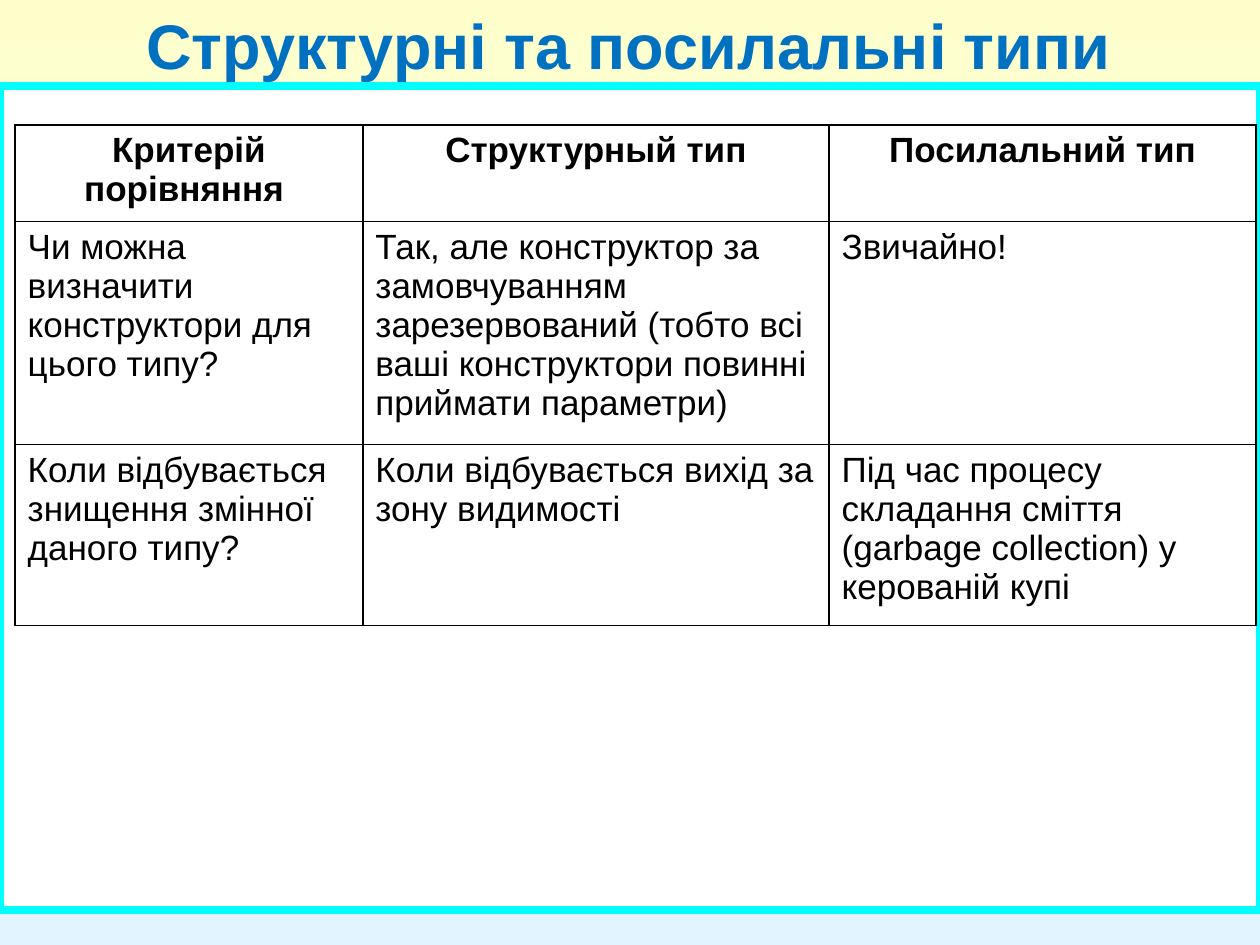
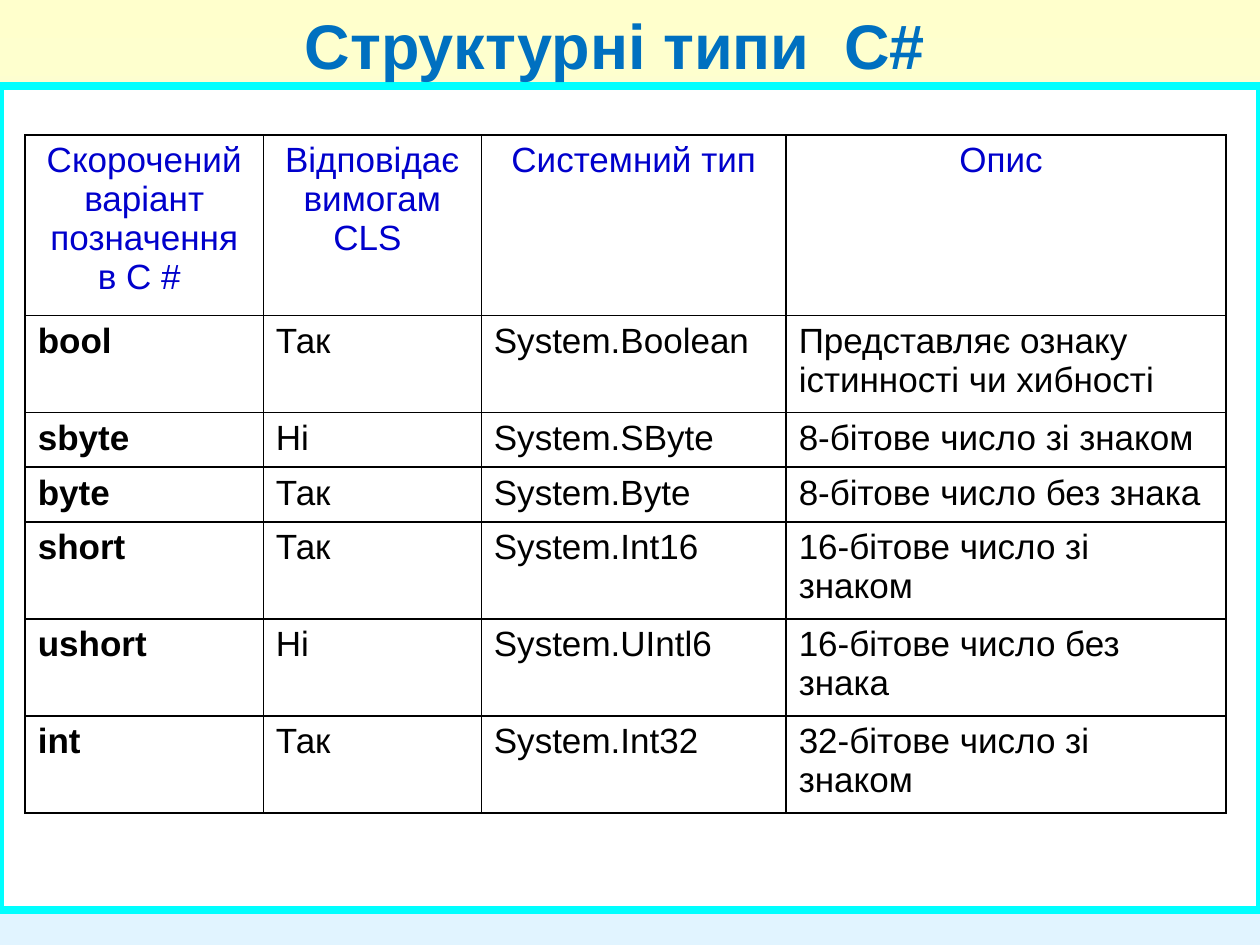
from lxml import etree
from pptx import Presentation
from pptx.dml.color import RGBColor
from pptx.enum import shapes, text
from pptx.oxml import ns
from pptx.util import Inches, Pt

CREAM = RGBColor(0xFF, 0xFF, 0xCC)
ICE = RGBColor(0xE1, 0xF4, 0xFF)
WHITE = RGBColor(0xFF, 0xFF, 0xFF)
CYAN = RGBColor(0x00, 0xFF, 0xFF)
BLACK = RGBColor(0x00, 0x00, 0x00)
HEADING_BLUE = RGBColor(0x00, 0x70, 0xC0)
HEADER_BLUE = RGBColor(0x00, 0x00, 0xCC)

COMPARISON = [
    ["Критерій порівняння ", "Структурный тип", "Посилальний тип"],
    ["Чи можна визначити конструктори для цього типу?",
     "Так, але конструктор за замовчуванням зарезервований "
     "(тобто всі ваші конструктори повинні приймати параметри)",
     "Звичайно!"],
    ["Коли відбувається знищення змінної даного типу?",
     "Коли відбувається вихід за зону видимості",
     "Під час процесу складання сміття (garbage collection) у керованій купі"],
]

VALUE_TYPES = [
    ["Скорочений варіант позначення в С # ", "Відповідає вимогам CLS ",
     "Системний тип", "Опис "],
    ["bool", "Так", "System.Boolean", "Представляє ознаку істинності чи хибності"],
    ["sbyte", "Ні", "System.SByte", "8-бітове число зі знаком"],
    ["byte", "Так", "System.Byte", "8-бітове число без знака"],
    ["short", "Так", "System.Int16", "16-бітове число зі знаком"],
    ["ushort", "Ні", "System.UIntl6", "16-бітове число без знака"],
    ["int", "Так", "System.Int32", "32-бітове число зі знаком"],
]


class Deck:
    font = {"name": "Arial", "size": Pt(20), "bold": False}
    heading_font = {"name": "Arial", "size": Pt(36), "bold": True}
    heading_frame = {"word_wrap": False,
                     "auto_size": text.MSO_AUTO_SIZE.SHAPE_TO_FIT_TEXT,
                     "vertical_anchor": text.MSO_ANCHOR.TOP,
                     "margin_left": Inches(0.1), "margin_right": Inches(0.1),
                     "margin_top": Inches(0.05), "margin_bottom": Inches(0.05)}

    def __init__(self):
        self.prs = Presentation()
        self.prs.slide_width = Inches(10)
        self.prs.slide_height = Inches(7.5)
        self.slide = None

    def apply(self, target, values):
        for key, value in values.items():
            setattr(target, key, value)

    def format_font(self, font, values, color):
        self.apply(font, values)
        font.color.rgb = color

    def add_slide(self, heading, left, width):
        self.slide = self.prs.slides.add_slide(self.prs.slide_layouts[5])
        self.background()
        self.panel()
        self.heading(heading, left, width)

    def background(self):
        fill = self.slide.background.fill
        fill.gradient()
        fill.gradient_angle = 270
        for stop, color in zip(fill.gradient_stops, (CREAM, ICE)):
            stop.color.rgb = color

    def panel(self):
        panel = self.slide.shapes.add_shape(
            shapes.MSO_SHAPE.RECTANGLE, 0, Inches(0.68), Inches(10), Inches(6.54))
        panel.shadow.inherit = False
        panel.fill.solid()
        panel.fill.fore_color.rgb = WHITE
        panel.line.color.rgb = CYAN
        panel.line.width = Pt(4.5)

    def heading(self, wording, left, width):
        title = self.slide.shapes.title
        title.element.getparent().append(title.element)
        self.apply(title, {"left": Inches(left), "top": 0,
                           "width": Inches(width), "height": Inches(0.7)})
        self.apply(title.text_frame, self.heading_frame)
        paragraph = title.text_frame.paragraphs[0]
        paragraph.alignment = text.PP_ALIGN.LEFT
        run = paragraph.add_run()
        run.text = wording
        self.format_font(run.font, self.heading_font, HEADING_BLUE)
        self.text_shadow(run)

    def text_shadow(self, run):
        effects = etree.Element(ns.qn("a:effectLst"))
        shadow = etree.SubElement(effects, ns.qn("a:outerShdw"),
                                  dist="38100", dir="2700000", algn="tl")
        etree.SubElement(shadow, ns.qn("a:srgbClr"), val=str(BLACK))
        properties = run._r.get_or_add_rPr()
        properties.find(ns.qn("a:solidFill")).addnext(effects)

    def table(self, rows, left, top, widths, heights, header, bold_labels=False):
        grid = self.slide.shapes.add_table(
            len(rows), len(widths), Inches(left), Inches(top),
            Inches(sum(widths)), Inches(sum(heights))).table
        for column, width in zip(grid.columns, widths):
            column.width = Inches(width)
        for r, (row, height) in enumerate(zip(rows, heights)):
            grid.rows[r].height = Inches(height)
            for c, wording in enumerate(row):
                values = header if r == 0 else {
                    "bold": bold_labels and c == 0, "color": BLACK}
                self.cell(grid.cell(r, c), wording, centred=r == 0, **values)

    def cell(self, cell, wording, centred, bold, color):
        cell.fill.solid()
        cell.fill.fore_color.rgb = WHITE
        self.borders(cell)
        paragraph = cell.text_frame.paragraphs[0]
        paragraph.alignment = text.PP_ALIGN.CENTER if centred else text.PP_ALIGN.LEFT
        run = paragraph.add_run()
        run.text = wording
        self.format_font(run.font, {**self.font, "bold": bold}, color)

    def borders(self, cell):
        properties = cell._tc.get_or_add_tcPr()
        for position, side in enumerate(("lnL", "lnR", "lnT", "lnB")):
            border = etree.Element(ns.qn(f"a:{side}"), w=str(Pt(1)))
            fill = etree.SubElement(border, ns.qn("a:solidFill"))
            etree.SubElement(fill, ns.qn("a:srgbClr"), val=str(BLACK))
            properties.insert(position, border)


def main():
    deck = Deck()

    deck.add_slide("Структурні та посилальні типи", 1.06, 7.86)
    deck.table(COMPARISON, 0.12, 0.99, [2.76, 3.7, 3.39], [0.77, 1.77, 1.43],
               header={"bold": True, "color": BLACK})

    deck.add_slide("Структурні типи  C#", 2.32, 5.13)
    one_line, two_lines = 0.43, 0.77
    deck.table(VALUE_TYPES, 0.2, 1.07, [1.89, 1.73, 2.42, 3.49],
               [1.43, two_lines] + [one_line] * 2 + [two_lines] * 3,
               header={"bold": False, "color": HEADER_BLUE}, bold_labels=True)

    deck.prs.save("out.pptx")


if __name__ == "__main__":
    main()
